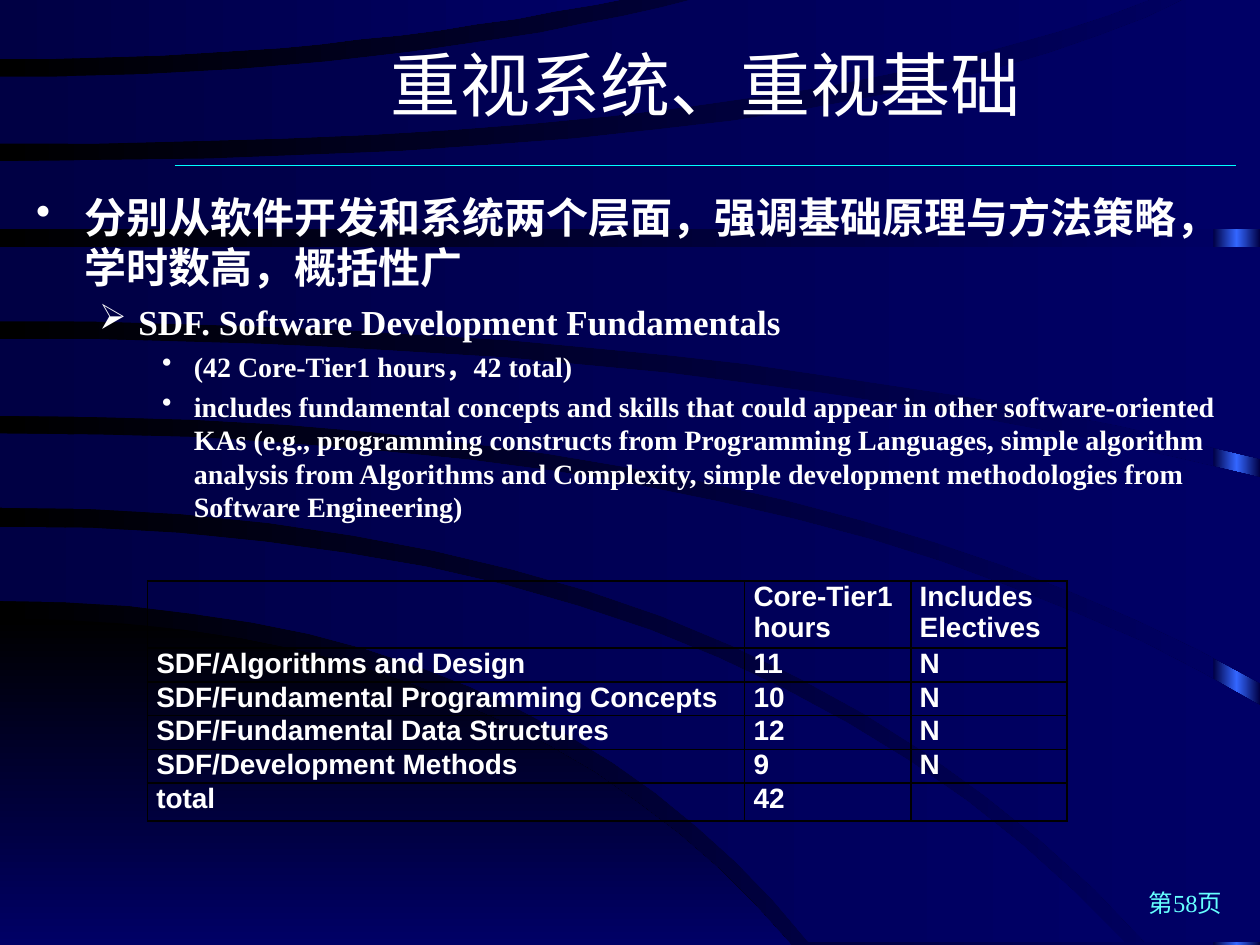
from collections import namedtuple
from copy import deepcopy

from lxml import etree
from pptx import Presentation
from pptx import util as u
from pptx.dml.color import RGBColor
from pptx.enum import shapes, text
from pptx.oxml.ns import qn

Box = namedtuple("Box", "left top width height")
Edge = namedtuple("Edge", "start_y pull end_x end_y")

COLORS = {
    "black": "000000",
    "navy": "000066",
    "dark_navy": "000044",
    "glow": "3366FF",
    "rule": "00FFFF",
    "page": "66FFFF",
    "white": "FFFFFF",
}
SERIF, SANS = "Times New Roman", "Arial"

# Edges are measured in thousandths of the slide width.
STEPS = 16
ARCS = [
    (Edge(491, 407, 628, 750), Edge(750, 314, 628, 750)),
    (Edge(418, 585, 893, 748), Edge(477, 425, 642, 748)),
    (Edge(344, 640, 1000, 560), Edge(403, 595, 909, 748)),
    (Edge(269, 560, 1000, 379), Edge(330, 625, 1000, 542)),
    (Edge(196, 500, 1000, 196), Edge(255, 564, 1000, 364)),
    (Edge(128, 690, 943, -2), Edge(182, 500, 1000, 182)),
    (Edge(61, 310, 556, -2), Edge(114, 630, 917, -2)),
    (Edge(-2, 250, 501, -2), Edge(47, 260, 501, -2)),
]

OUTLINE = [
    (0, "分别从软件开发和系统两个层面，强调基础原理与方法策略，学时数高，概括性广"),
    (1, "SDF. Software Development Fundamentals"),
    (2, "(42 Core-Tier1 hours，42 total)"),
    (2, "includes fundamental concepts and skills that could appear in other "
        "software-oriented KAs (e.g., programming constructs from Programming Languages, "
        "simple algorithm analysis from Algorithms and Complexity, simple development "
        "methodologies from Software Engineering)"),
]
LEVELS = [(24, "•", 0.97, 0.97), (20, "➢", 2.06, 0.79), (16, "•", 3.18, 0.64)]

HOURS = [
    ("", "Core-Tier1\nhours", "Includes\nElectives"),
    ("SDF/Algorithms and Design", "11", "N"),
    ("SDF/Fundamental Programming Concepts", "10", "N"),
    ("SDF/Fundamental Data Structures", "12", "N"),
    ("SDF/Development Methods", "9", "N"),
    ("total", "42", ""),
]


def cm_box(*lengths):
    return Box(*map(u.Cm, lengths))


def rgb(name):
    return RGBColor.from_string(COLORS[name])


def paint_gradient(fill, names, angle=0):
    fill.gradient()
    fill.gradient_angle = angle
    for stop, name in zip(fill.gradient_stops, names):
        stop.color.rgb = rgb(name)


def add_text(paragraph, words, size, font, color="white", bold=False):
    run = paragraph.add_run()
    run.text = words
    run.font.size = u.Pt(size)
    run.font.name = font
    run.font.bold = bold
    run.font.color.rgb = rgb(color)


def add_frame(slide, box):
    frame = slide.shapes.add_textbox(*box).text_frame
    frame.word_wrap = True
    return frame


def trace(edge):
    points = []
    for step in range(STEPS + 1):
        t = step / STEPS
        points.append((2 * t * (1 - t) * edge.pull + t * t * edge.end_x,
                       (1 - t * t) * edge.start_y + t * t * edge.end_y))
    return points


def draw_arc(slide, box, upper, lower):
    shorter = min(upper, lower, key=lambda edge: edge.end_x)
    corner = (max(upper.end_x, lower.end_x), shorter.end_y)
    outline = trace(upper) + [corner] + trace(lower)[::-1]
    builder = slide.shapes.build_freeform(*outline[0], scale=box.width / 1000)
    builder.add_line_segments(outline[1:], close=True)
    arc = builder.convert_to_shape(box.left, box.top)
    arc.shadow.inherit = False
    arc.line.fill.background()
    return arc


def draw_backdrop(slide, box):
    paint_gradient(slide.background.fill, ["black", "navy"])
    stripe_width = u.Cm(0.94)
    stripe = slide.shapes.add_shape(
        shapes.MSO_SHAPE.RECTANGLE, box.left + box.width - stripe_width, box.top,
        stripe_width, box.height)
    stripe.shadow.inherit = False
    stripe.line.fill.background()
    stripe.fill.gradient()
    first_stop = stripe.element.spPr.find(".//" + qn("a:gs"))
    middle_stop = deepcopy(first_stop)
    middle_stop.set("pos", "50000")
    first_stop.addnext(middle_stop)
    paint_gradient(stripe.fill, ["dark_navy", "glow", "dark_navy"])

    lowest, *others = [draw_arc(slide, box, *edges) for edges in ARCS]
    paint_gradient(lowest.fill, ["black", "navy"], 270)
    for arc in others:
        paint_gradient(arc.fill, ["dark_navy", "navy"])


def draw_title(slide, box):
    rule_y = box.top + box.height + u.Cm(0.46)
    rule = slide.shapes.add_connector(
        shapes.MSO_CONNECTOR.STRAIGHT, box.left, rule_y, box.left + box.width, rule_y)
    rule.line.color.rgb = rgb("rule")
    rule.line.width = u.Pt(0.75)
    etree.SubElement(rule.element.spPr, qn("a:effectLst"))
    frame = add_frame(slide, box)
    frame.vertical_anchor = text.MSO_ANCHOR.MIDDLE
    title = frame.paragraphs[0]
    title.alignment = text.PP_ALIGN.CENTER
    add_text(title, "重视系统、重视基础", 40, SERIF)


def draw_outline(slide, box):
    frame = add_frame(slide, box)
    for index, (level, words) in enumerate(OUTLINE):
        size, mark, indent, hanging = LEVELS[level]
        point = frame.add_paragraph() if index else frame.paragraphs[0]
        properties = point._p.get_or_add_pPr()
        properties.set("marL", str(u.Cm(indent)))
        properties.set("indent", str(-u.Cm(hanging)))
        etree.SubElement(properties, qn("a:buChar"), char=mark)
        point.level = level
        if index:
            point.space_before = u.Pt(round(size * 0.24, 1))
        add_text(point, words, size, SERIF, bold=True)


def set_borders(cell):
    properties = cell._tc.get_or_add_tcPr()
    for position, side in enumerate(("lnL", "lnR", "lnT", "lnB")):
        border = etree.Element(qn("a:" + side), w=str(u.Pt(1)))
        fill = etree.SubElement(border, qn("a:solidFill"))
        etree.SubElement(fill, qn("a:srgbClr"), val=COLORS["black"])
        properties.insert(position, border)


def draw_hours(slide, box):
    table = slide.shapes.add_table(len(HOURS), len(HOURS[0]), *box).table
    table.first_row = table.horz_banding = False
    for column, width in zip(table.columns, (12.04, 3.35, 3.15)):
        column.width = u.Cm(width)
    for index, row in enumerate(table.rows):
        row.height = u.Cm(0.68 if index else 1.35)
    for row, entries in enumerate(HOURS):
        for column, entry in enumerate(entries):
            cell = table.cell(row, column)
            cell.fill.background()
            set_borders(cell)
            cell.margin_left = cell.margin_right = u.Cm(0.18)
            cell.margin_top = cell.margin_bottom = 0
            for line, words in enumerate(entry.split("\n")):
                frame = cell.text_frame
                paragraph = frame.add_paragraph() if line else frame.paragraphs[0]
                add_text(paragraph, words, 16, SANS, bold=True)


def draw_page_number(slide, box):
    page = add_frame(slide, box).paragraphs[0]
    page.alignment = text.PP_ALIGN.RIGHT
    add_text(page, "第58页", 14, SERIF, "page")


def main():
    deck = Presentation()
    deck.slide_width, deck.slide_height = u.Cm(25.4), u.Cm(19.05)
    slide = deck.slides.add_slide(deck.slide_layouts[6])
    draw_backdrop(slide, Box(0, 0, deck.slide_width, deck.slide_height))
    draw_title(slide, cm_box(3.52, 0.48, 21.4, 2.39))
    draw_outline(slide, cm_box(0.48, 3.73, 24.43, 14))
    draw_hours(slide, cm_box(2.97, 11.71, 18.54, 4.75))
    draw_page_number(slide, cm_box(19.61, 17.78, 5.28, 0.91))
    deck.save("out.pptx")


if __name__ == "__main__":
    main()
